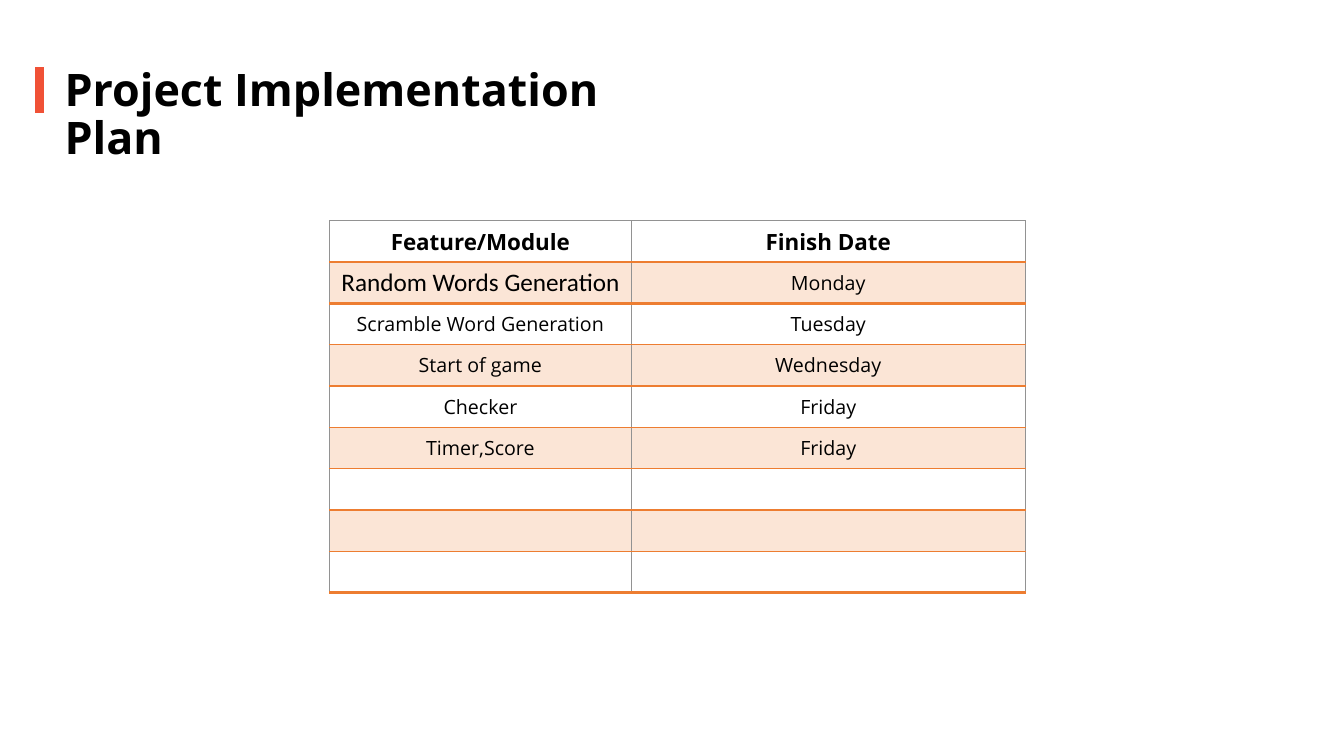
from pptx import Presentation
from pptx.dml.color import RGBColor
from pptx.enum.shapes import MSO_SHAPE
from pptx.enum.text import MSO_ANCHOR, PP_ALIGN
from pptx.oxml.ns import qn
from pptx.util import Inches, Pt
from lxml.etree import SubElement

COLORS = {"text": "000000", "back": "FFFFFF", "mark": "F05136",
          "rule": "ED7D31", "band": "FBE5D6", "edge": "929292"}
FONT = "Open Sans"

PLAN = [
    ("Feature/Module", "Finish Date"),
    ("Random Words Generation", "Monday"),
    ("Scramble Word Generation", "Tuesday"),
    ("Start of game", "Wednesday"),
    ("Checker", "Friday"),
    ("Timer,Score", "Friday"),
    ("", ""),
    ("", ""),
    ("", ""),
]


def color(name):
    return RGBColor.from_string(COLORS[name])


class Deck:
    def __init__(self):
        self.file = Presentation()
        self.file.slide_width = Inches(13.33)
        self.file.slide_height = Inches(7.5)
        self.slide = self.file.slides.add_slide(self.file.slide_layouts[5])

    def style(self, para, size, bold=False, font=FONT):
        para.font.name = font
        para.font.size = Pt(size)
        para.font.bold = bold
        para.font.color.rgb = color("text")

    def title(self, text, x, y, w, h):
        box = self.slide.shapes.title
        box.left, box.top, box.width, box.height = map(Inches, (x, y, w, h))
        frame = box.text_frame
        frame.text = text
        frame.word_wrap = True
        frame.vertical_anchor = MSO_ANCHOR.TOP
        para = frame.paragraphs[0]
        para.alignment = PP_ALIGN.LEFT
        para.line_spacing = 0.9
        self.style(para, 32, True)

    def bar(self, x, y, w, h):
        bar = self.slide.shapes.add_shape(
            MSO_SHAPE.RECTANGLE, *map(Inches, (x, y, w, h)))
        bar.shadow.inherit = False
        bar.fill.solid()
        bar.fill.fore_color.rgb = color("mark")
        bar.line.color.rgb = color("back")
        bar.line.width = Pt(1)

    def border(self, cell, side, name, width):
        props = cell._tc.get_or_add_tcPr()
        line = SubElement(props, qn("a:ln" + side), w=str(Pt(width)))
        fill = SubElement(line, qn("a:solidFill"))
        SubElement(fill, qn("a:srgbClr"), val=COLORS[name])

    def table(self, rows, x, y, widths, height):
        count = len(rows)
        table = self.slide.shapes.add_table(
            count, len(widths), Inches(x), Inches(y),
            Inches(sum(widths)), Inches(height * count)).table
        table.first_row = table.horz_banding = False
        for col, width in zip(table.columns, widths):
            col.width = Inches(width)
        # Heavy rules below the header, the first task and the last row
        heavy = {0, 1, count - 1}
        for r, texts in enumerate(rows):
            table.rows[r].height = Inches(height)
            for c, text in enumerate(texts):
                cell = table.cell(r, c)
                for side in "LR":
                    self.border(cell, side, "edge", 1)
                self.border(cell, "T", "rule" if r else "edge",
                            2 if r - 1 in heavy else 1)
                self.border(cell, "B", "rule", 2 if r in heavy else 1)
                cell.fill.solid()
                cell.fill.fore_color.rgb = color("band" if r % 2 else "back")
                cell.vertical_anchor = MSO_ANCHOR.MIDDLE
                cell.text = text
                para = cell.text_frame.paragraphs[0]
                para.alignment = PP_ALIGN.CENTER
                if (r, c) == (1, 0):
                    self.style(para, 18, font="Calibri")
                else:
                    self.style(para, 14 if r else 16, bold=r == 0)


def main():
    deck = Deck()
    # Heading with its accent bar
    deck.bar(0.34, 0.66, 0.1, 0.47)
    deck.title("Project Implementation Plan", 0.54, 0.62, 6.42, 0.64)
    # Schedule
    deck.table(PLAN, 3.27, 2.19, (2.99, 3.91), 0.41)
    deck.file.save("out.pptx")


if __name__ == "__main__":
    main()
